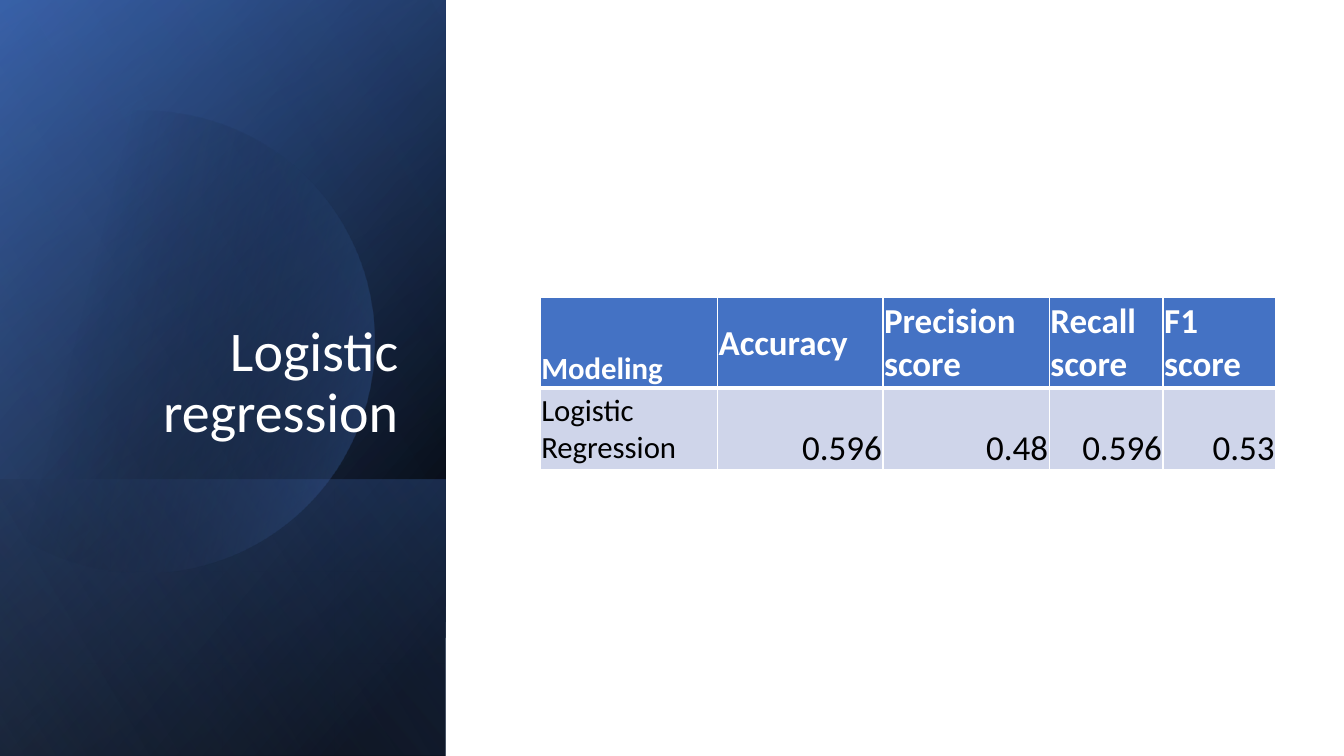
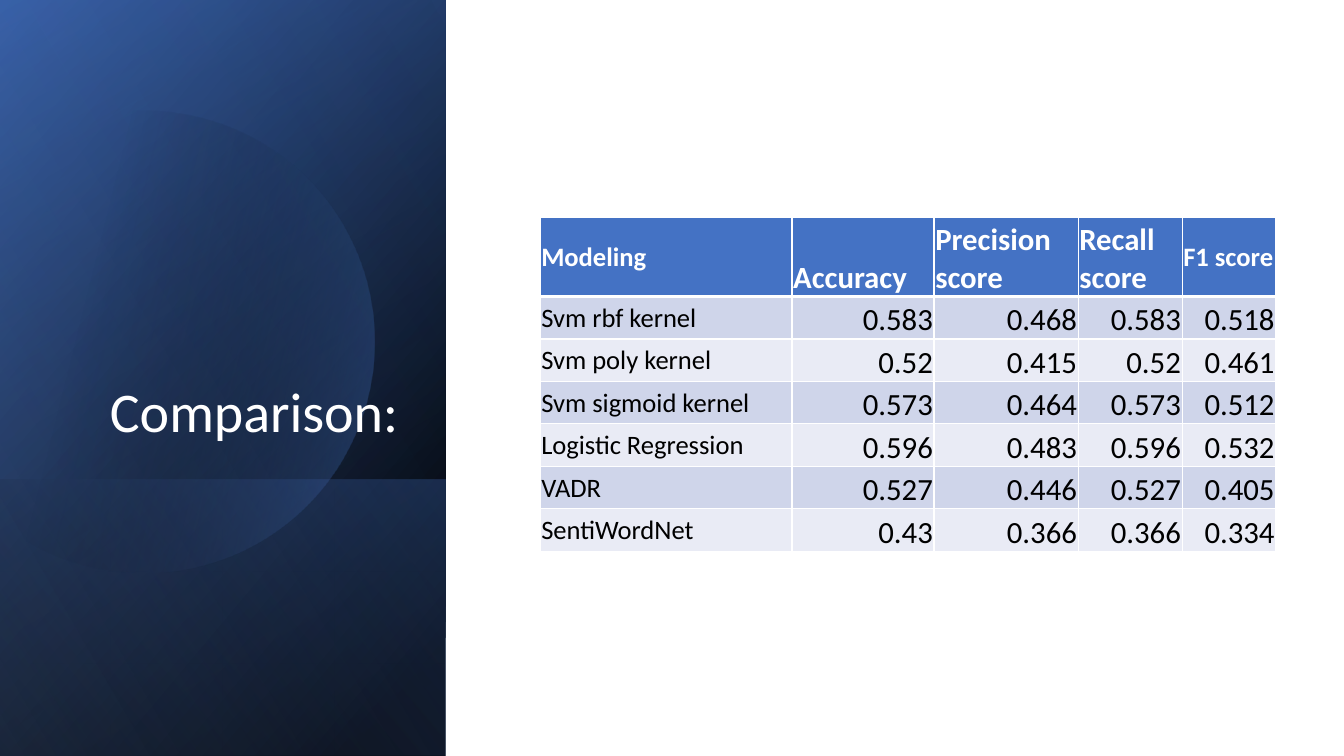
from dataclasses import dataclass
from math import acos, cos, sin

from lxml.etree import SubElement
from pptx import Presentation
from pptx.dml.color import RGBColor
from pptx.enum.shapes import MSO_SHAPE
from pptx.enum.text import MSO_ANCHOR, MSO_AUTO_SIZE, PP_ALIGN
from pptx.oxml.ns import qn
from pptx.util import Cm, Pt


@dataclass(frozen=True)
class Theme:
    font: str = "Calibri"
    white: str = "FFFFFF"
    black: str = "000000"
    navy: str = "2F5597"
    blue: str = "4472C4"
    pale_blue: str = "8FAADC"
    bands: tuple = ("CFD5EA", "E9EBF5")
    title_size: int = 40
    thin_line: int = 1
    thick_line: int = 3


SLIDE_WIDTH, SLIDE_HEIGHT = 33.87, 19.05
PANEL_WIDTH, BASE_HEIGHT = 11.23, 6.96
TABLE_LEFT = 13.61
MIDDLE, BOTTOM = MSO_ANCHOR.MIDDLE, MSO_ANCHOR.BOTTOM


def write_text(frame, text, *, theme, size, color, bold=False,
               align=PP_ALIGN.LEFT, spacing=None):
    """Fill a text frame with one formatted paragraph."""
    para = frame.paragraphs[0]
    para.alignment = align
    para.line_spacing = spacing
    span = para.add_run()
    span.text = text
    span.font.name = theme.font
    span.font.size = Pt(size)
    span.font.bold = bold
    span.font.color.rgb = RGBColor.from_string(color)


def set_borders(cell, color, widths):
    """Draw the left, right, top and bottom lines of a cell, in points."""
    properties = cell._tc.get_or_add_tcPr()
    for index, (side, width) in enumerate(zip("LRTB", widths)):
        line = SubElement(properties, qn(f"a:ln{side}"), w=str(Pt(width)))
        fill = SubElement(line, qn("a:solidFill"))
        SubElement(fill, qn("a:srgbClr"), val=color)
        properties.insert(index, line)


class SlideBuilder:
    def __init__(self, deck, theme):
        self.deck = deck
        self.theme = theme
        self.page = None

    def new_page(self, title):
        self.page = self.deck.slides.add_slide(self.deck.slide_layouts[5])
        self.side_panel()
        self.title(title)

    def gradient(self, shape, stops, angle):
        """Stops are (position, colour, opacity) in percent; angle is clockwise."""
        shape.shadow.inherit = False
        shape.line.fill.background()
        shape.fill.gradient()
        shape.fill.gradient_angle = (360 - angle) % 360
        for stop, (position, color, opacity) in zip(shape.fill.gradient_stops, stops):
            stop.position = position / 100
            stop.color.rgb = RGBColor.from_string(color)
        colors = shape.element.spPr.iter(qn("a:srgbClr"))
        for color, (_, _, opacity) in zip(colors, stops):
            if opacity < 100:
                SubElement(color, qn("a:alpha"), val=str(opacity * 1000))

    def turned_band(self, top, height, stops, angle):
        """A panel-wide rectangle, mirrored and turned a quarter."""
        left = (PANEL_WIDTH - height) / 2
        turned_top = top + (height - PANEL_WIDTH) / 2
        band = self.page.shapes.add_shape(
            MSO_SHAPE.RECTANGLE, Cm(left), Cm(turned_top), Cm(height), Cm(PANEL_WIDTH))
        band.rotation = 90
        band.element.spPr.find(qn("a:xfrm")).set("flipH", "1")
        self.gradient(band, stops, angle)

    def cut_circle(self, center_x, center_y, radius, cut_x, stops, angle):
        """A circle whose left side is cut off at cut_x."""
        sweep = acos((cut_x - center_x) / radius)
        steps = 120
        turns = [sweep * (2 * step / steps - 1) for step in range(steps + 1)]
        points = [(Cm(center_x + radius * cos(turn)), Cm(center_y + radius * sin(turn)))
                  for turn in turns]
        builder = self.page.shapes.build_freeform(*points[0])
        builder.add_line_segments(points[1:], close=True)
        self.gradient(builder.convert_to_shape(), stops, angle)

    def side_panel(self):
        look = self.theme
        self.turned_band(0, SLIDE_HEIGHT, [(8, look.black, 100), (100, look.navy, 100)], 50)
        self.turned_band(0, SLIDE_HEIGHT, [(0, look.black, 0), (99, look.blue, 46)], 30)
        self.turned_band(SLIDE_HEIGHT - BASE_HEIGHT, BASE_HEIGHT,
                         [(2, look.blue, 29), (100, look.black, 30)], 130)
        self.cut_circle(3.63, 8.61, 5.82, -0.38,
                        [(29, look.black, 0), (100, look.blue, 43)], 14)
        self.turned_band(0, SLIDE_HEIGHT, [(0, look.black, 0), (99, look.pale_blue, 11)], 120)

    def title(self, text):
        box = self.page.shapes.title
        box.left, box.top, box.width, box.height = Cm(1.63), Cm(4.67), Cm(8.66), Cm(6.65)
        frame = box.text_frame
        frame.word_wrap = True
        frame.auto_size = MSO_AUTO_SIZE.NONE
        frame.vertical_anchor = BOTTOM
        write_text(frame, text, theme=self.theme, size=self.theme.title_size,
                   color=self.theme.white, align=PP_ALIGN.RIGHT, spacing=0.9)
        # Bring the title in front of the panel
        self.page.shapes.element.append(box.element)

    def cell(self, cell, text, *, fill, anchor, bottom_line, **text_format):
        cell.margin_left = cell.margin_right = cell.margin_top = Cm(0.03)
        cell.margin_bottom = 0
        cell.vertical_anchor = anchor
        cell.fill.solid()
        cell.fill.fore_color.rgb = RGBColor.from_string(fill)
        thin = self.theme.thin_line
        set_borders(cell, self.theme.white, (thin, thin, thin, bottom_line))
        write_text(cell.text_frame, text, theme=self.theme, **text_format)

    def score_table(self, top, widths, header_height, row_height, headers, rows,
                    label_size, score_size):
        """Headers are (text, size, anchor); rows are a label and its scores."""
        look = self.theme
        heights = [header_height] + [row_height] * len(rows)
        table = self.page.shapes.add_table(
            len(heights), len(widths), Cm(TABLE_LEFT), Cm(top),
            Cm(sum(widths)), Cm(sum(heights))).table
        table.first_row = table.horz_banding = False
        for column, width in zip(table.columns, widths):
            column.width = Cm(width)
        for row, height in zip(table.rows, heights):
            row.height = Cm(height)

        # Header row
        for column, (text, size, anchor) in enumerate(headers):
            self.cell(table.cell(0, column), text, fill=look.blue, anchor=anchor,
                      bottom_line=look.thick_line, size=size, color=look.white, bold=True)

        # Model rows
        for number, values in enumerate(rows):
            for column, text in enumerate(values):
                is_label = column == 0
                self.cell(table.cell(number + 1, column), text,
                          fill=look.bands[number % 2],
                          anchor=MIDDLE if is_label else BOTTOM,
                          bottom_line=look.thin_line,
                          size=label_size if is_label else score_size,
                          color=look.black,
                          align=PP_ALIGN.LEFT if is_label else PP_ALIGN.RIGHT)


def main():
    deck = Presentation()
    deck.slide_width, deck.slide_height = Cm(SLIDE_WIDTH), Cm(SLIDE_HEIGHT)
    builder = SlideBuilder(deck, Theme())

    # Logistic regression
    builder.new_page("Logistic regression")
    builder.score_table(
        top=7.49, widths=(4.47, 4.17, 4.19, 2.87, 2.84),
        header_height=2.29, row_height=2.06,
        headers=[("Modeling", 22, BOTTOM), ("Accuracy", 25, MIDDLE),
                 ("Precision score", 25, MIDDLE), ("Recall score", 25, MIDDLE),
                 ("F1 score", 25, MIDDLE)],
        rows=[("Logistic Regression", "0.596", "0.48", "0.596", "0.53")],
        label_size=22, score_size=25)

    # Comparison of all models
    builder.new_page("Comparison:")
    builder.score_table(
        top=5.49, widths=(6.35, 3.58, 3.63, 2.62, 2.36),
        header_height=1.98, row_height=1.07,
        headers=[("Modeling", 19, MIDDLE), ("Accuracy", 22, BOTTOM),
                 ("Precision score", 22, BOTTOM), ("Recall score", 22, BOTTOM),
                 ("F1 score", 19, MIDDLE)],
        rows=[("Svm rbf kernel", "0.583", "0.468", "0.583", "0.518"),
              ("Svm poly kernel", "0.52", "0.415", "0.52", "0.461"),
              ("Svm sigmoid kernel", "0.573", "0.464", "0.573", "0.512"),
              ("Logistic Regression", "0.596", "0.483", "0.596", "0.532"),
              ("VADR", "0.527", "0.446", "0.527", "0.405"),
              ("SentiWordNet", "0.43", "0.366", "0.366", "0.334")],
        label_size=19, score_size=22)

    deck.save("out.pptx")


if __name__ == "__main__":
    main()
